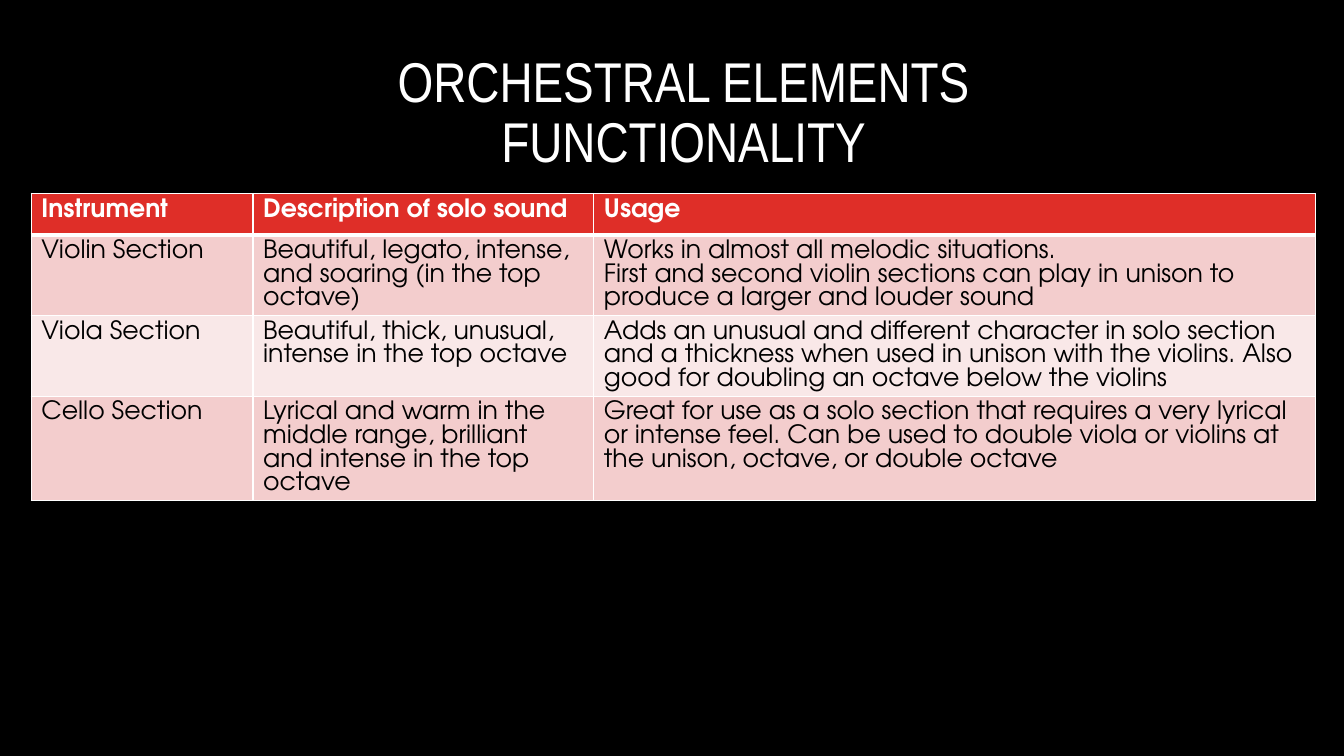
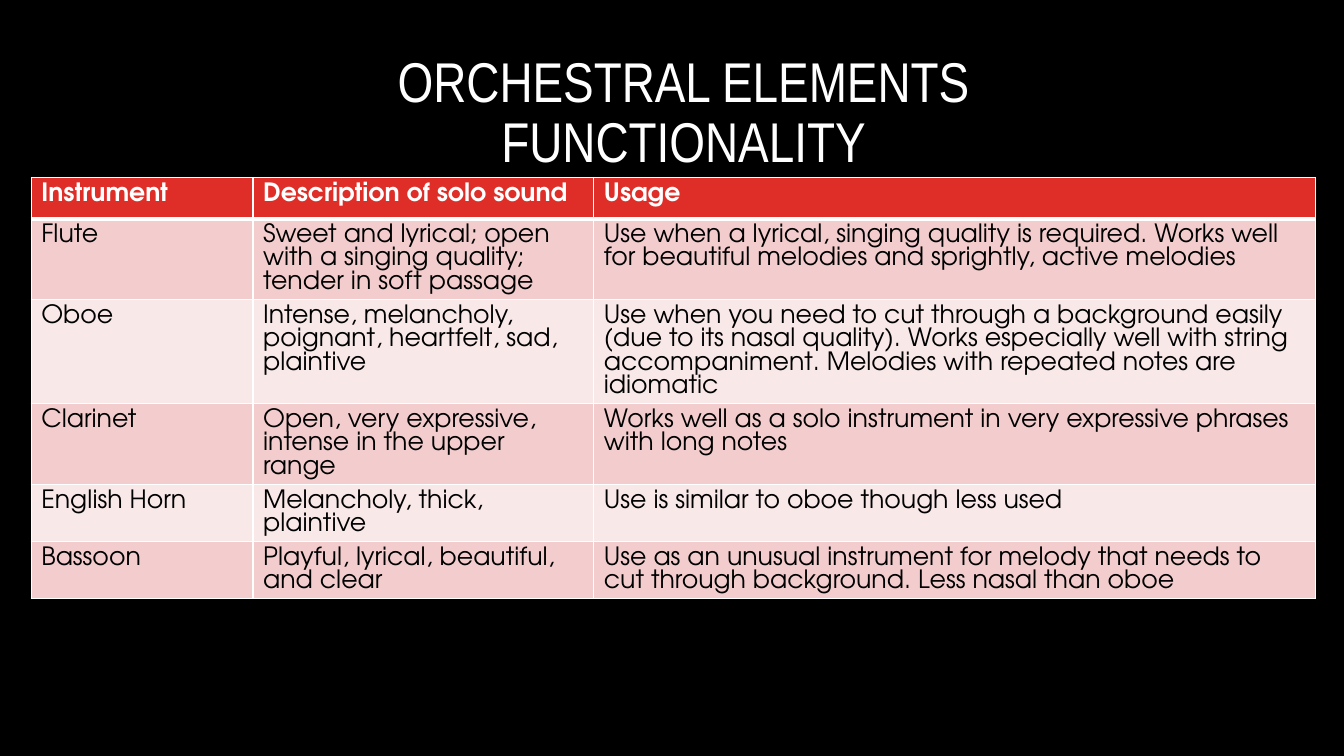
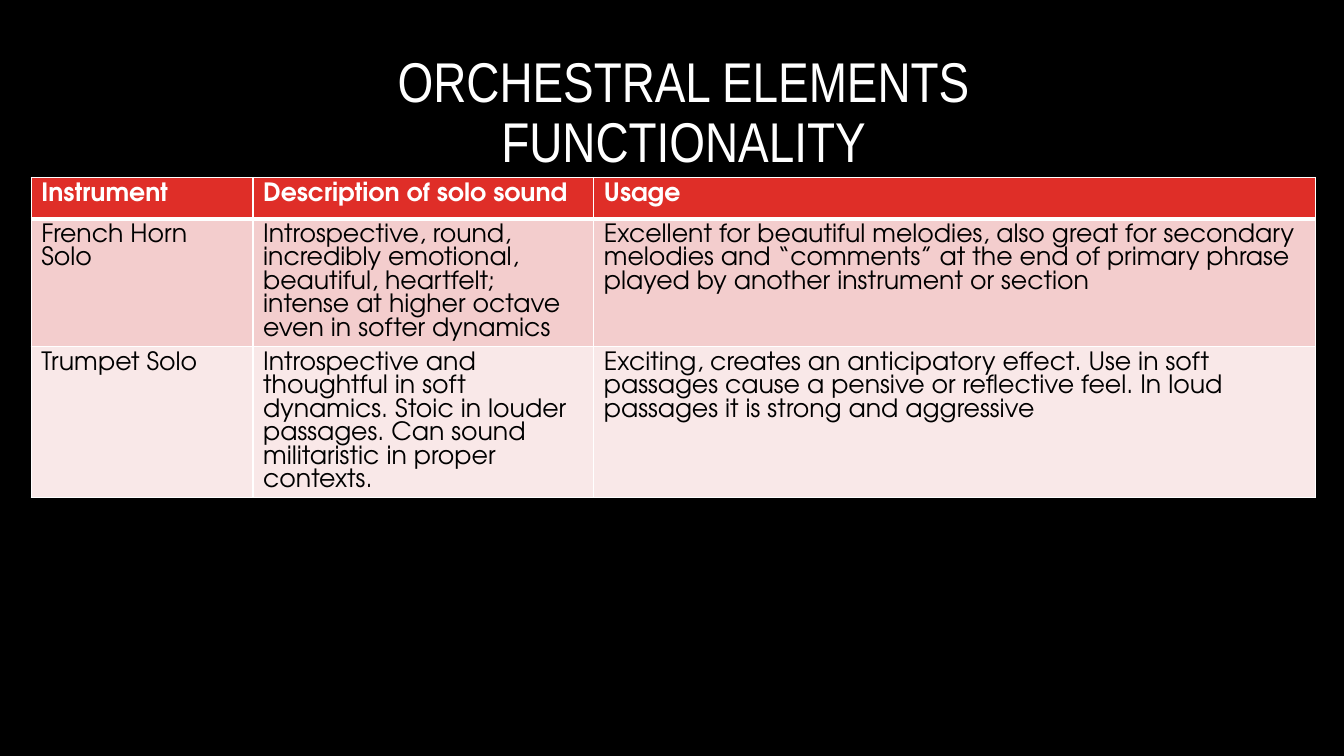
"""Build three slides of tables on the use of orchestral instruments."""
from lxml import etree
from pptx import Presentation
from pptx.dml.color import RGBColor
from pptx.enum.text import MSO_ANCHOR, MSO_AUTO_SIZE, PP_ALIGN
from pptx.oxml.ns import qn
from pptx.util import Inches, Pt

TITLE = "ORCHESTRAL ELEMENTS FUNCTIONALITY"
HEADER = ("Instrument", "Description of solo sound", "Usage")
SECTIONS = [
    (1.92, [
        ("Violin Section",
         "Beautiful, legato, intense, and soaring (in the top octave)",
         "Works in almost all melodic situations.\n"
         "First and second violin sections can play in unison to produce "
         "a larger and louder sound"),
        ("Viola Section",
         "Beautiful, thick, unusual, intense in the top octave",
         "Adds an unusual and different character in solo section and a "
         "thickness when used in unison with the violins. Also good for "
         "doubling an octave below the violins"),
        ("Cello Section",
         "Lyrical and warm in the middle range, brilliant and intense in "
         "the top octave",
         "Great for use as a solo section that requires a very lyrical or "
         "intense feel. Can be used to double viola or violins at the "
         "unison, octave, or double octave"),
    ]),
    (1.76, [
        ("Flute",
         "Sweet and lyrical; open with a singing quality; tender in soft "
         "passage",
         "Use when a lyrical, singing quality is required. Works well for "
         "beautiful melodies and sprightly, active melodies"),
        ("Oboe",
         "Intense, melancholy, poignant, heartfelt, sad, plaintive",
         "Use when you need to cut through a background easily (due to its "
         "nasal quality). Works especially well with string accompaniment. "
         "Melodies with repeated notes are idiomatic"),
        ("Clarinet",
         "Open, very expressive, intense in the upper range",
         "Works well as a solo instrument in very expressive phrases with "
         "long notes"),
        ("English Horn",
         "Melancholy, thick, plaintive",
         "Use is similar to oboe though less used"),
        ("Bassoon",
         "Playful, lyrical, beautiful, and clear",
         "Use as an unusual instrument for melody that needs to cut through "
         "background. Less nasal than oboe"),
    ]),
    (1.76, [
        ("French Horn Solo",
         "Introspective, round, incredibly emotional, beautiful, heartfelt; "
         "intense at higher octave even in softer dynamics",
         "Excellent for beautiful melodies, also great for secondary "
         "melodies and “comments” at the end of primary phrase played by "
         "another instrument or section"),
        ("Trumpet Solo",
         "Introspective and thoughtful in soft dynamics. Stoic in louder "
         "passages. Can sound militaristic in proper contexts.",
         "Exciting, creates an anticipatory effect. Use in soft passages "
         "cause a pensive or reflective feel. In loud passages it is strong "
         "and aggressive"),
    ]),
]

BLACK, WHITE, RED = "000000", "FFFFFF", "DF2E28"
BANDS = ("F3CDCD", "F9E8E8")
TITLE_FONT, TABLE_FONT = "Arial Narrow", "TeX Gyre Adventor"
COLS, ROW_HEIGHT, TABLE_LEFT = (2.2, 3.38, 7.16), 0.41, 0.31


def rgb(color):
    return RGBColor.from_string(color)


def fill(target, color):
    target.fill.solid()
    target.fill.fore_color.rgb = rgb(color)


def write(tf, text, font=TABLE_FONT, size=18, color=BLACK, bold=False,
          align=None, spacing=None):
    tf.text = text
    for p in tf.paragraphs:
        p.alignment = align
        p.line_spacing = spacing
        for r in p.runs:
            r.font.name, r.font.size, r.font.bold = font, Pt(size), bold
            r.font.color.rgb = rgb(color)


def add_borders(cell, top, bottom):
    tc_pr = cell._tc.get_or_add_tcPr()
    for side, width in (("L", 1), ("R", 1), ("T", top), ("B", bottom)):
        ln = etree.SubElement(tc_pr, qn(f"a:ln{side}"), w=str(Pt(width)))
        solid = etree.SubElement(ln, qn("a:solidFill"))
        etree.SubElement(solid, qn("a:srgbClr"), val=WHITE)


def add_title(slide):
    tf = slide.shapes.title.text_frame
    tf.vertical_anchor = MSO_ANCHOR.MIDDLE
    tf.auto_size = MSO_AUTO_SIZE.NONE
    write(tf, TITLE, font=TITLE_FONT, size=40, color=WHITE,
          align=PP_ALIGN.CENTER, spacing=0.9)


def add_instruments(slide, top, instruments):
    rows = [HEADER, *instruments]
    table = slide.shapes.add_table(
        len(rows), len(COLS), Inches(TABLE_LEFT), Inches(top),
        Inches(sum(COLS)), Inches(ROW_HEIGHT * len(rows))).table
    for column, width in zip(table.columns, COLS):
        column.width = Inches(width)
    for i, row in enumerate(rows):
        table.rows[i].height = Inches(ROW_HEIGHT)
        is_header = i == 0
        for j, text in enumerate(row):
            cell = table.cell(i, j)
            add_borders(cell, top=3 if i == 1 else 1,
                        bottom=3 if is_header else 1)
            fill(cell, RED if is_header else BANDS[(i - 1) % 2])
            write(cell.text_frame, text, bold=is_header,
                  color=WHITE if is_header else BLACK)


def main():
    prs = Presentation()
    prs.slide_width, prs.slide_height = Inches(13.33), Inches(7.5)
    fill(prs.slide_master.background, BLACK)
    layout = prs.slide_layouts[5]
    title = layout.placeholders[0]
    title.left, title.top = Inches(2.07), Inches(0.43)
    title.width, title.height = Inches(9.42), Inches(1.41)
    for top, instruments in SECTIONS:
        slide = prs.slides.add_slide(layout)
        add_title(slide)
        add_instruments(slide, top, instruments)
    prs.save("out.pptx")


if __name__ == "__main__":
    main()
